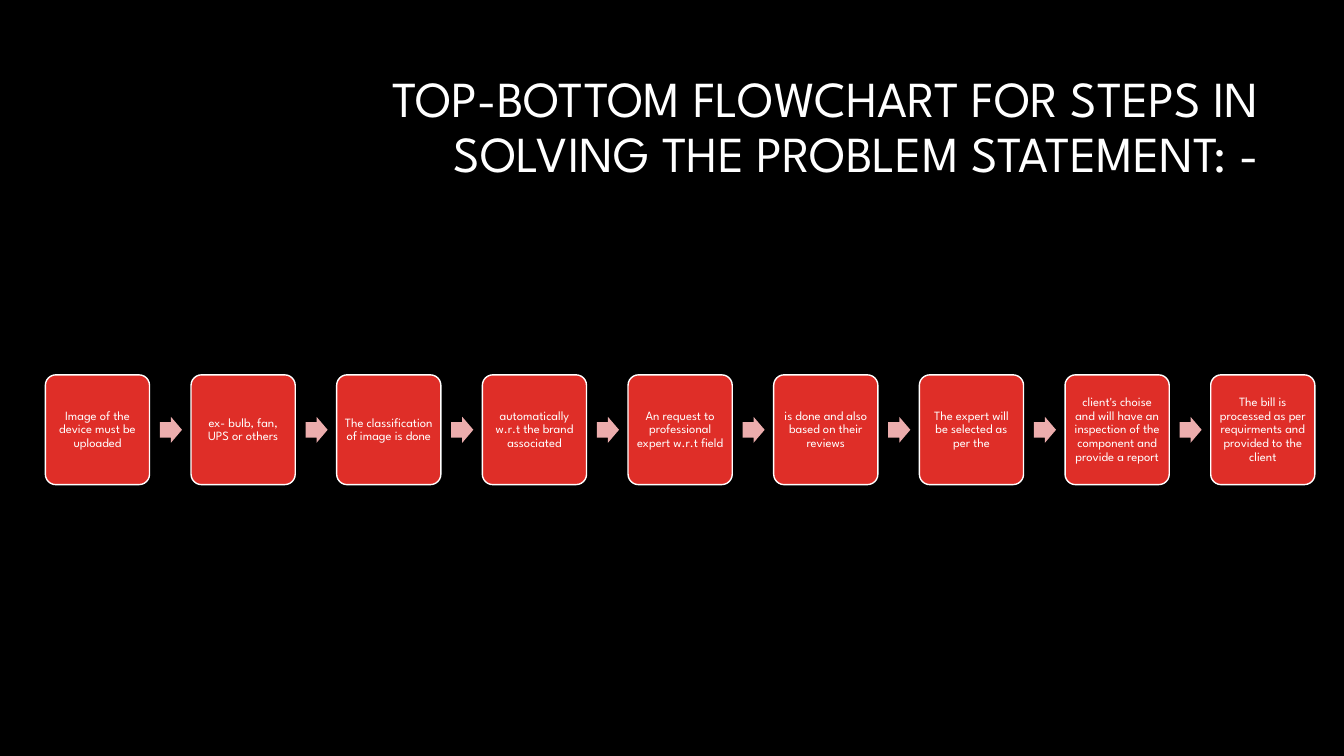
"""Build a slide with a row of process steps joined by arrows."""
from pptx import Presentation
from pptx.dml.color import RGBColor
from pptx.enum.shapes import MSO_SHAPE
from pptx.enum.text import MSO_ANCHOR, PP_ALIGN
from pptx.util import Pt

BLACK = RGBColor(0x00, 0x00, 0x00)
WHITE = RGBColor(0xFF, 0xFF, 0xFF)
RED = RGBColor(0xDF, 0x2E, 0x28)
PINK = RGBColor(0xEC, 0xAD, 0xAD)

STEPS = [
    "Image of the device must be uploaded",
    "ex- bulb, fan, UPS or others",
    "The classification of image is done",
    "automatically w.r.t the brand associated",
    "An request to professional expert w.r.t field",
    "is done and also based on their reviews",
    "The expert will be selected as per the",
    "client's choise and will have an inspection of the component and provide a report",
    "The bill is processed as per requirments and provided to the client",
]
FIRST_LEFT = 32.4
STEP_PITCH = 104.05
STEP_TOP, STEP_WIDTH, STEP_HEIGHT = 267.8, 74.4, 78.4
ARROW_OFFSET, ARROW_WIDTH, ARROW_HEIGHT = 81.8, 15.8, 18.5


def write_text(shape, text, size, align, margin=None):
    frame = shape.text_frame
    frame.word_wrap = True
    frame.vertical_anchor = MSO_ANCHOR.MIDDLE
    if margin is not None:
        frame.margin_left = frame.margin_right = Pt(margin)
        frame.margin_top = frame.margin_bottom = Pt(margin)
    paragraph = frame.paragraphs[0]
    paragraph.alignment = align
    paragraph.line_spacing = 0.9
    run = paragraph.add_run()
    run.text = text
    run.font.name = "League Spartan"
    run.font.size = Pt(size)
    run.font.color.rgb = WHITE


class FlowSlide:
    def __init__(self, presentation):
        self.slide = presentation.slides.add_slide(presentation.slide_layouts[6])
        self.slide.background.fill.solid()
        self.slide.background.fill.fore_color.rgb = BLACK

    def add_title(self, text, left, top, width, height):
        box = self.slide.shapes.add_textbox(Pt(left), Pt(top), Pt(width), Pt(height))
        write_text(box, text, size=36, align=PP_ALIGN.RIGHT)

    def add_shape(self, kind, left, top, width, height, fill, adjustments):
        shape = self.slide.shapes.add_shape(kind, Pt(left), Pt(top), Pt(width), Pt(height))
        shape.shadow.inherit = False
        shape.fill.solid()
        shape.fill.fore_color.rgb = fill
        shape.line.fill.background()
        for index, value in enumerate(adjustments):
            shape.adjustments[index] = value
        return shape

    def add_step(self, text, left):
        step = self.add_shape(MSO_SHAPE.ROUNDED_RECTANGLE, left, STEP_TOP,
                              STEP_WIDTH, STEP_HEIGHT, RED, [0.1])
        step.line.color.rgb = WHITE
        step.line.width = Pt(1)
        write_text(step, text, size=9, align=PP_ALIGN.CENTER, margin=2.88)

    def add_arrow(self, left):
        top = STEP_TOP + (STEP_HEIGHT - ARROW_HEIGHT) / 2
        self.add_shape(MSO_SHAPE.RIGHT_ARROW, left, top,
                       ARROW_WIDTH, ARROW_HEIGHT, PINK, [0.6, 0.5])


def main():
    presentation = Presentation()
    presentation.slide_width = Pt(960)
    presentation.slide_height = Pt(540)
    flow = FlowSlide(presentation)
    flow.add_title("TOP-BOTTOM FLOWCHART FOR STEPS IN SOLVING THE PROBLEM STATEMENT: -",
                   228.2, 50, 678.2, 84)
    for index, text in enumerate(STEPS):
        left = FIRST_LEFT + index * STEP_PITCH
        flow.add_step(text, left)
        if index < len(STEPS) - 1:
            flow.add_arrow(left + ARROW_OFFSET)
    presentation.save("out.pptx")


if __name__ == "__main__":
    main()
